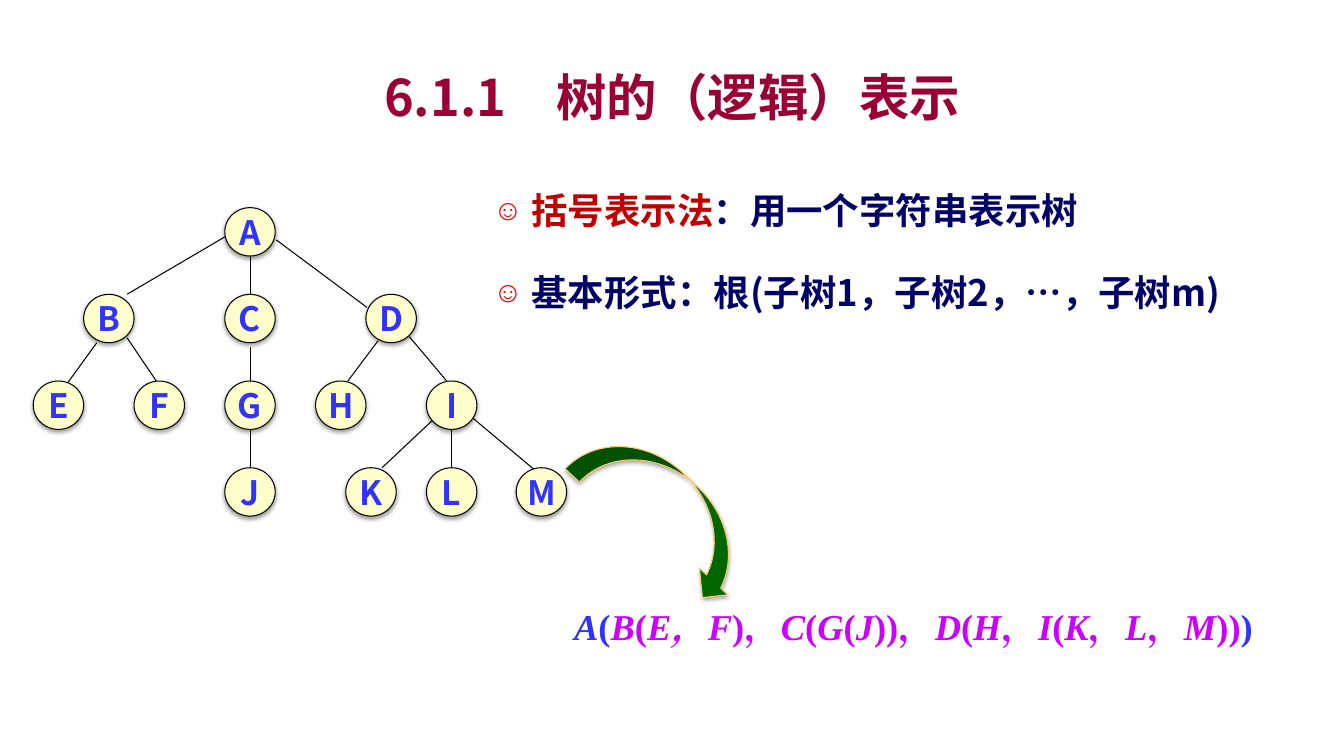
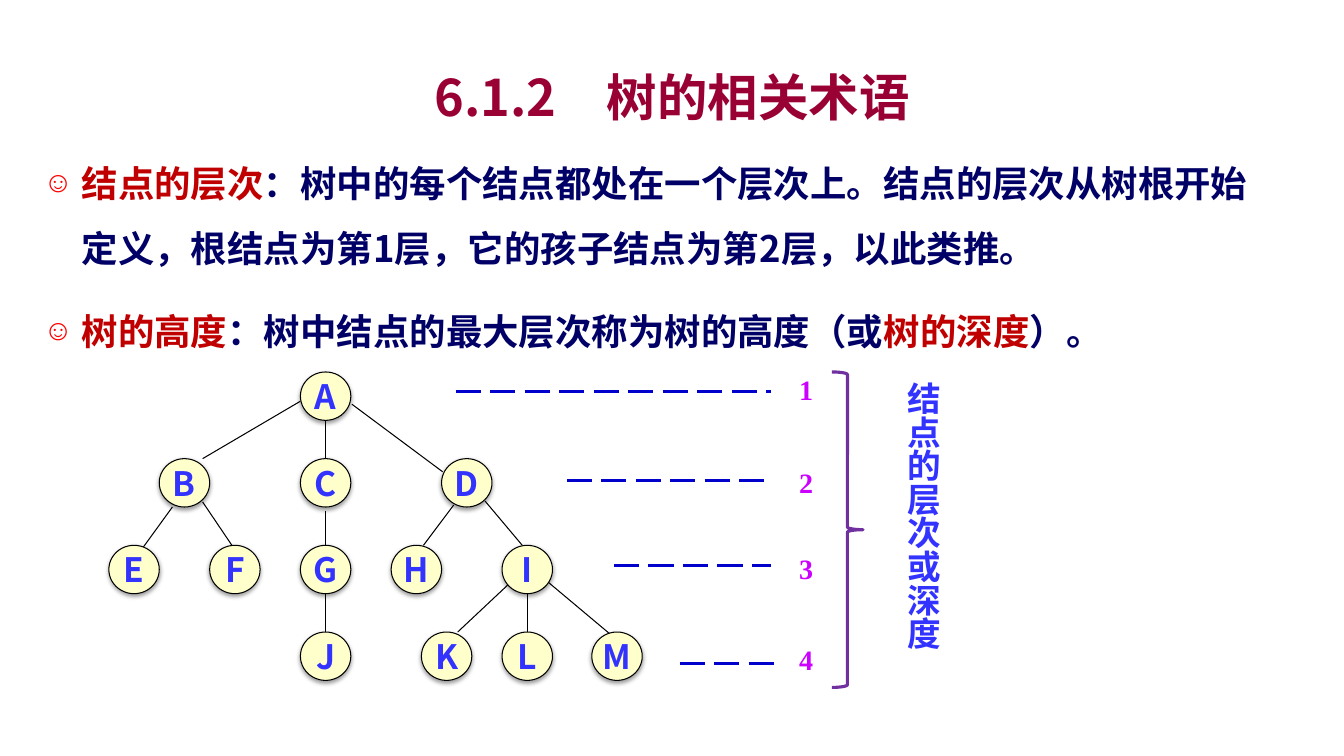
from dataclasses import dataclass
from itertools import groupby

from lxml.etree import SubElement
from pptx import Presentation
from pptx.dml.color import RGBColor
from pptx.enum.dml import MSO_LINE
from pptx.enum.shapes import MSO_CONNECTOR, MSO_SHAPE
from pptx.enum.text import MSO_ANCHOR, MSO_AUTO_SIZE, PP_ALIGN
from pptx.oxml.ns import qn
from pptx.util import Inches, Pt


@dataclass(frozen=True)
class Theme:
    sans: str = "Noto Sans CJK SC"
    serif: str = "Times New Roman"
    title: str = "990033"
    body: str = "000066"
    term: str = "C00000"
    bullet: str = "FF0000"
    blue: str = "3333FF"
    magenta: str = "CC00FF"
    node: str = "FFFFCC"
    black: str = "000000"
    arrow: str = "006600"
    arrow_edge: str = "FFCC66"
    dash: str = "0000CC"
    brace: str = "7030A0"
    title_size: int = 36
    text_size: int = 26
    node_size: int = 24
    level_size: int = 20
    thin: float = 0.75
    thick: float = 2.25


theme = Theme()


def write_spans(para, spans, size, font):
    """Fill a paragraph with bold (text, colour, italic) spans."""
    for text, color, italic in spans:
        span = para.add_run()
        span.text = text
        span.font.size = Pt(size)
        span.font.bold = True
        span.font.italic = italic
        span.font.name = font
        span.font.color.rgb = RGBColor.from_string(color)
        SubElement(span.font._element, qn("a:ea"), typeface=font)


def set_shadow(shape, opacity=0, distance=0):
    """Replace the theme's shadow with a soft one below, or with none."""
    effects = SubElement(shape.element.spPr, qn("a:effectLst"))
    if opacity:
        shadow = SubElement(effects, qn("a:outerShdw"), blurRad=str(Pt(3.1)),
                            dist=str(Pt(distance)), dir="5400000", rotWithShape="0")
        color = SubElement(shadow, qn("a:srgbClr"), val=theme.black)
        SubElement(color, qn("a:alpha"), val=str(opacity * 1000))


# Each page: title, body place, body paragraphs, top left of the tree
pages = [
    ("6.1.1　树的（逻辑）表示", (4.79, 1.6, 7.95, 1.98), [
        [("括号表示法", theme.term, False), ("：用一个字符串表示树", theme.body, False)],
        [("基本形式：根(子树1，子树2，…，子树m)", theme.body, False)],
    ], (0.33, 2.06)),
    ("6.1.2　树的相关术语", (0.33, 1.33, 12.33, 2.42), [
        [("结点的层次", theme.term, False),
         ("：树中的每个结点都处在一个层次上。结点的层次从树根开始定义，"
          "根结点为第1层，它的孩子结点为第2层，以此类推。", theme.body, False)],
        [("树的高度", theme.term, False),
         ("：树中结点的最大层次称为树的高度（或", theme.body, False),
         ("树的深度", theme.term, False), ("）。", theme.body, False)],
    ], (1.08, 3.69)),
]

# Tree nodes by level, with their left edges, and branches from the tree's corner
node_width, node_height, level_step = 0.5, 0.48, 0.86
tree_levels = [
    {"A": 1.9},
    {"B": 0.5, "C": 1.9, "D": 3.3},
    {"E": 0, "F": 1, "G": 1.9, "H": 2.8, "I": 3.9},
    {"J": 1.9, "K": 3.1, "L": 3.9, "M": 4.79},
]
branches = [
    (1.9, 0.29, 0.93, 0.86), (2.15, 0.48, 2.15, 0.86), (2.41, 0.32, 3.31, 0.99),
    (0.63, 1.34, 0.34, 1.74), (0.93, 1.29, 1.22, 1.72), (2.15, 1.38, 2.15, 1.72),
    (3.42, 1.32, 3.12, 1.72), (3.73, 1.28, 4.1, 1.72), (2.15, 2.2, 2.15, 2.58),
    (3.96, 2.11, 3.46, 2.58), (4.15, 2.2, 4.15, 2.58), (4.35, 2.08, 4.97, 2.6),
]

deck = Presentation()
deck.slide_width, deck.slide_height = Inches(13.33), Inches(7.5)

# Shared title place
layout = deck.slide_layouts[1]
layout_title = layout.placeholders[0]
layout_title.left, layout_title.top = Inches(1), Inches(0.58)
layout_title.width, layout_title.height = Inches(11.33), Inches(0.75)

for title_text, body_place, paragraphs, (tree_left, tree_top) in pages:
    page = deck.slides.add_slide(layout)

    # Title
    title_frame = page.shapes.title.text_frame
    title_frame.auto_size = MSO_AUTO_SIZE.NONE
    title_frame.vertical_anchor = MSO_ANCHOR.MIDDLE
    title_frame.paragraphs[0].alignment = PP_ALIGN.CENTER
    write_spans(title_frame.paragraphs[0], [(title_text, theme.title, False)],
                theme.title_size, theme.sans)

    # Body list
    body = page.placeholders[1]
    body.left, body.top, body.width, body.height = map(Inches, body_place)
    body.text_frame.auto_size = MSO_AUTO_SIZE.NONE
    for index, spans in enumerate(paragraphs):
        para = body.text_frame.add_paragraph() if index else body.text_frame.paragraphs[0]
        para.line_spacing = 1.5
        para.space_before = Pt(6 if index else 0)
        para.space_after = Pt(6)
        properties = para._p.get_or_add_pPr()
        properties.set("marL", str(Inches(0.38)))
        properties.set("indent", str(Inches(-0.38)))
        bullet_color = SubElement(properties, qn("a:buClr"))
        SubElement(bullet_color, qn("a:srgbClr"), val=theme.bullet)
        SubElement(properties, qn("a:buSzPct"), val="80000")
        SubElement(properties, qn("a:buChar"), char="☺")
        write_spans(para, spans, theme.text_size, theme.sans)

    # Tree
    tree = page.shapes.add_group_shape()
    for start_x, start_y, end_x, end_y in branches:
        branch = tree.shapes.add_connector(
            MSO_CONNECTOR.STRAIGHT,
            Inches(tree_left + start_x), Inches(tree_top + start_y),
            Inches(tree_left + end_x), Inches(tree_top + end_y))
        branch.line.color.rgb = RGBColor.from_string(theme.black)
        branch.line.width = Pt(theme.thin)
        set_shadow(branch)
    for level, nodes in enumerate(tree_levels):
        for name, left in nodes.items():
            node = tree.shapes.add_shape(
                MSO_SHAPE.OVAL, Inches(tree_left + left),
                Inches(tree_top + level * level_step),
                Inches(node_width), Inches(node_height))
            node.fill.solid()
            node.fill.fore_color.rgb = RGBColor.from_string(theme.node)
            node.line.color.rgb = RGBColor.from_string(theme.black)
            node.line.width = Pt(theme.thin)
            set_shadow(node, 38, 1.6)
            node.text_frame.word_wrap = False
            node.text_frame.vertical_anchor = MSO_ANCHOR.MIDDLE
            node.text_frame.paragraphs[0].alignment = PP_ALIGN.CENTER
            write_spans(node.text_frame.paragraphs[0], [(name, theme.blue, False)],
                        theme.node_size, theme.sans)

notation_page, terms_page = deck.slides

# Bracket notation: outermost brackets blue, letters and the first comma italic
formula = "A(B(E，F)，C(G(J))，D(H，I(K，L，M)))"
marks = []
for index, mark in enumerate(formula):
    outer = index < 2 or index == len(formula) - 1
    italic = mark.isalpha() or index == formula.index("，")
    marks.append((mark, theme.blue if outer else theme.magenta, italic))
formula_spans = [("".join(mark[0] for mark in group), *look)
                 for look, group in groupby(marks, key=lambda mark: mark[1:])]
formula_box = notation_page.shapes.add_textbox(
    Inches(5.2), Inches(5.94), Inches(7.72), Inches(0.54))
formula_box.text_frame.word_wrap = True
formula_box.text_frame.auto_size = MSO_AUTO_SIZE.SHAPE_TO_FIT_TEXT
formula_box.text_frame.paragraphs[0].alignment = PP_ALIGN.CENTER
write_spans(formula_box.text_frame.paragraphs[0], formula_spans,
            theme.text_size, theme.serif)

# Arrow from the tree to its notation
arrow = notation_page.shapes.add_shape(
    MSO_SHAPE.CURVED_DOWN_ARROW, Inches(5.59), Inches(4.69), Inches(2.06), Inches(0.77))
arrow.rotation = 43.2
arrow.fill.solid()
arrow.fill.fore_color.rgb = RGBColor.from_string(theme.arrow)
arrow.line.color.rgb = RGBColor.from_string(theme.arrow_edge)
arrow.line.width = Pt(theme.thin)
set_shadow(arrow, 35, 1.8)

# Level numbers and dashes: label top, dash left, dash right, dash height
level_marks = [
    (3.65, 4.52, 7.65, 3.88),
    (4.57, 5.62, 7.65, 4.77),
    (5.42, 6.09, 7.65, 5.61),
    (6.32, 6.74, 7.73, 6.58),
]
for number, (label_top, dash_left, dash_right, dash_y) in enumerate(level_marks, 1):
    label = terms_page.shapes.add_textbox(
        Inches(7.8), Inches(label_top), Inches(0.39), Inches(0.43))
    label.text_frame.word_wrap = True
    label.text_frame.auto_size = MSO_AUTO_SIZE.SHAPE_TO_FIT_TEXT
    label.text_frame.paragraphs[0].alignment = PP_ALIGN.CENTER
    write_spans(label.text_frame.paragraphs[0], [(str(number), theme.magenta, False)],
                theme.level_size, theme.serif)
    dash = terms_page.shapes.add_connector(
        MSO_CONNECTOR.STRAIGHT, Inches(dash_left), Inches(dash_y),
        Inches(dash_right), Inches(dash_y))
    dash.line.color.rgb = RGBColor.from_string(theme.dash)
    dash.line.width = Pt(theme.thick)
    dash.line.dash_style = MSO_LINE.LONG_DASH
    set_shadow(dash)

# Brace and vertical caption
brace = terms_page.shapes.add_shape(
    MSO_SHAPE.RIGHT_BRACE, Inches(8.25), Inches(3.69), Inches(0.31), Inches(3.13))
brace.shadow.inherit = False
brace.fill.background()
brace.line.color.rgb = RGBColor.from_string(theme.brace)
brace.line.width = Pt(theme.thick)
caption = terms_page.shapes.add_textbox(
    Inches(8.79), Inches(3.69), Inches(0.61), Inches(3.31))
caption.text_frame.word_wrap = True
caption.text_frame.auto_size = MSO_AUTO_SIZE.SHAPE_TO_FIT_TEXT
caption.text_frame._txBody.bodyPr.set("vert", "eaVert")
write_spans(caption.text_frame.paragraphs[0], [("结点的层次或深度", theme.blue, False)],
            theme.node_size, theme.sans)

deck.save("out.pptx")
